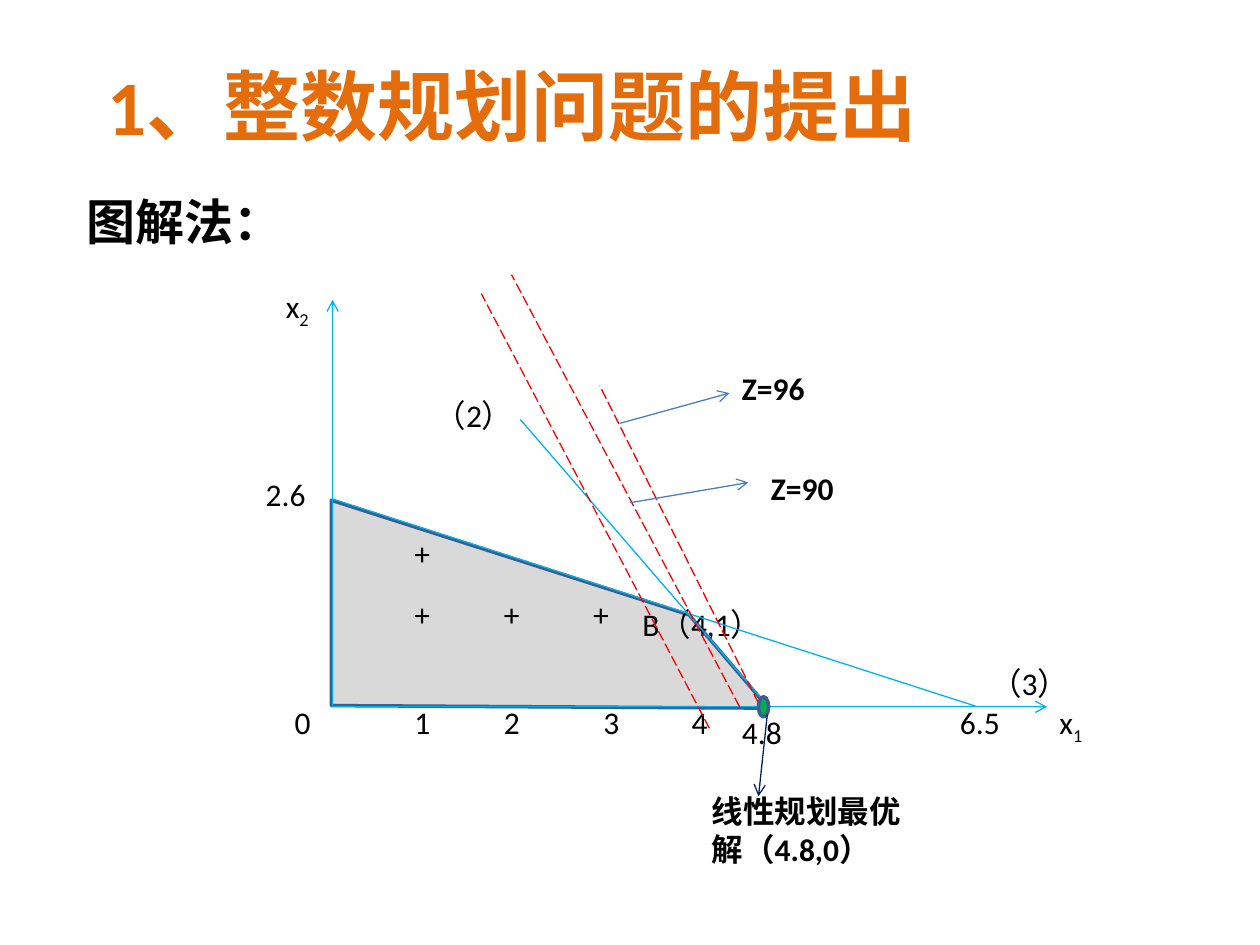
from dataclasses import dataclass

from lxml.etree import SubElement
from pptx import Presentation
from pptx.dml.color import RGBColor
from pptx.enum.dml import MSO_LINE
from pptx.enum.shapes import MSO_CONNECTOR as CONN, MSO_SHAPE as SHAPE
from pptx.enum.text import MSO_ANCHOR as ANCHOR, MSO_AUTO_SIZE as FIT, PP_ALIGN as ALIGN
from pptx.oxml.ns import qn
from pptx.util import Pt

PX = 9144
FONT = "Calibri"
COLORS = {
    "text": "000000", "title": "E46C0A", "region": "D9D9D9", "edge": "3A5F8C",
    "axis": "00B0F0", "objective": "FF0000", "pointer": "4B7EBC",
    "leader": "002060", "optimum": "00B050",
}


@dataclass
class Label:
    text: str
    x: int
    y: int
    w: int = 55
    h: int = 40
    sub: str = ""
    size: int = 18
    bold: bool = False
    fit: FIT = FIT.SHAPE_TO_FIT_TEXT


@dataclass
class Segment:
    x1: int
    y1: int
    x2: int
    y2: int
    color: str
    arrow: bool = False
    dashed: bool = False


TICKS = [Label(str(n), x, 553) for n, x in enumerate((319, 390, 469, 539), 1)]
GRID_POINTS = [Label("+", 319 + 71 * col, y)
               for y, count in ((467, 3), (419, 1)) for col in range(count)]
LABELS = [
    Label("图解法：", 59, 147, 165, 79, size=28, bold=True, fit=FIT.NONE),
    Label("2.6", 201, 372, 87),
    Label("x", 217, 223, sub="2"),
    Label("x", 831, 553, sub="1"),
    Label("6.5", 752, 553, 71),
    Label("0", 224, 553),
    Label("4.8", 579, 561, 63),
    Label("（2）", 335, 309, 102),
    Label("（3）", 776, 522, 98),
    Label("B（4,1）", 500, 475, 118),
    Label("Z=96", 579, 288, 142, bold=True),
    Label("Z=90", 602, 367, 79, bold=True),
    Label("线性规划最优解（4.8,0）", 555, 624, 189, 71, bold=True),
    *TICKS,
    *GRID_POINTS,
]
SEGMENTS = [
    Segment(264, 561, 264, 238, "axis", arrow=True),
    Segment(264, 561, 831, 561, "axis", arrow=True),
    Segment(264, 396, 776, 561, "axis"),
    Segment(610, 561, 413, 333, "axis"),
    Segment(587, 561, 406, 218, "objective", dashed=True),
    Segment(602, 558, 476, 306, "objective", dashed=True),
    Segment(563, 578, 382, 233, "objective", dashed=True),
    Segment(492, 336, 579, 312, "pointer", arrow=True),
    Segment(500, 399, 594, 383, "pointer", arrow=True),
]
LEADER = Segment(609, 567, 602, 632, "leader", arrow=True)
REGION = [(263, 397), (263, 560), (610, 562), (547, 488)]


def rgb(name: str) -> RGBColor:
    return RGBColor.from_string(COLORS[name])


def px(*values: int) -> list[int]:
    return [v * PX for v in values]


def set_font(r, size: int, color: str, bold: bool) -> None:
    for key, value in {"name": FONT, "size": Pt(size), "bold": bold}.items():
        setattr(r.font, key, value)
    r.font.color.rgb = rgb(color)


def set_frame(tf, **formats) -> None:
    for key, value in formats.items():
        setattr(tf, key, value)


def add_label(s, label: Label) -> None:
    tf = s.shapes.add_textbox(*px(label.x, label.y, label.w, label.h)).text_frame
    set_frame(tf, word_wrap=True, auto_size=label.fit)
    p = tf.paragraphs[0]
    for text, baseline in ((label.text, None), (label.sub, "-25000")):
        if not text:
            continue
        r = p.add_run()
        r.text = text
        set_font(r, label.size, "text", label.bold)
        if baseline:
            r._r.get_or_add_rPr().set("baseline", baseline)


def add_segment(s, seg: Segment) -> None:
    line = s.shapes.add_connector(CONN.STRAIGHT, *px(seg.x1, seg.y1, seg.x2, seg.y2))
    line.line.color.rgb = rgb(seg.color)
    line.line.width = Pt(0.75)
    if seg.dashed:
        line.line.dash_style = MSO_LINE.LONG_DASH
    if seg.arrow:
        SubElement(line.line._get_or_add_ln(), qn("a:tailEnd"), type="arrow")
    SubElement(line._element.spPr, qn("a:effectLst"))


def paint(sp, fill: str) -> None:
    sp.shadow.inherit = False
    sp.fill.solid()
    sp.fill.fore_color.rgb = rgb(fill)
    sp.line.color.rgb = rgb("edge")
    sp.line.width = Pt(2)


def add_region(s) -> None:
    builder = s.shapes.build_freeform(*REGION[0], scale=PX)
    builder.add_line_segments(REGION[1:], close=True)
    paint(builder.convert_to_shape(), "region")


def add_title(s) -> None:
    title = s.shapes.title
    title.left, title.top, title.width, title.height = px(-43, 21, 900, 125)
    tf = title.text_frame
    set_frame(tf, word_wrap=True, vertical_anchor=ANCHOR.MIDDLE)
    p = tf.paragraphs[0]
    p.alignment = ALIGN.CENTER
    r = p.add_run()
    r.text = "1、整数规划问题的提出"
    set_font(r, 44, "title", True)
    rPr = r._r.get_or_add_rPr()
    ln = SubElement(rPr, qn("a:ln"), w=str(Pt(0.71)))
    SubElement(SubElement(ln, qn("a:solidFill")), qn("a:srgbClr"), val=COLORS["title"])
    rPr.insert(0, ln)


def main() -> None:
    prs = Presentation()
    prs.slide_width, prs.slide_height = px(1000, 750)
    s = prs.slides.add_slide(prs.slide_layouts[5])
    add_title(s)
    add_region(s)
    for label in LABELS:
        add_label(s, label)
    for seg in SEGMENTS:
        add_segment(s, seg)
    paint(s.shapes.add_shape(SHAPE.OVAL, *px(602, 553, 8, 16)), "optimum")
    add_segment(s, LEADER)
    prs.save("out.pptx")


if __name__ == "__main__":
    main()
